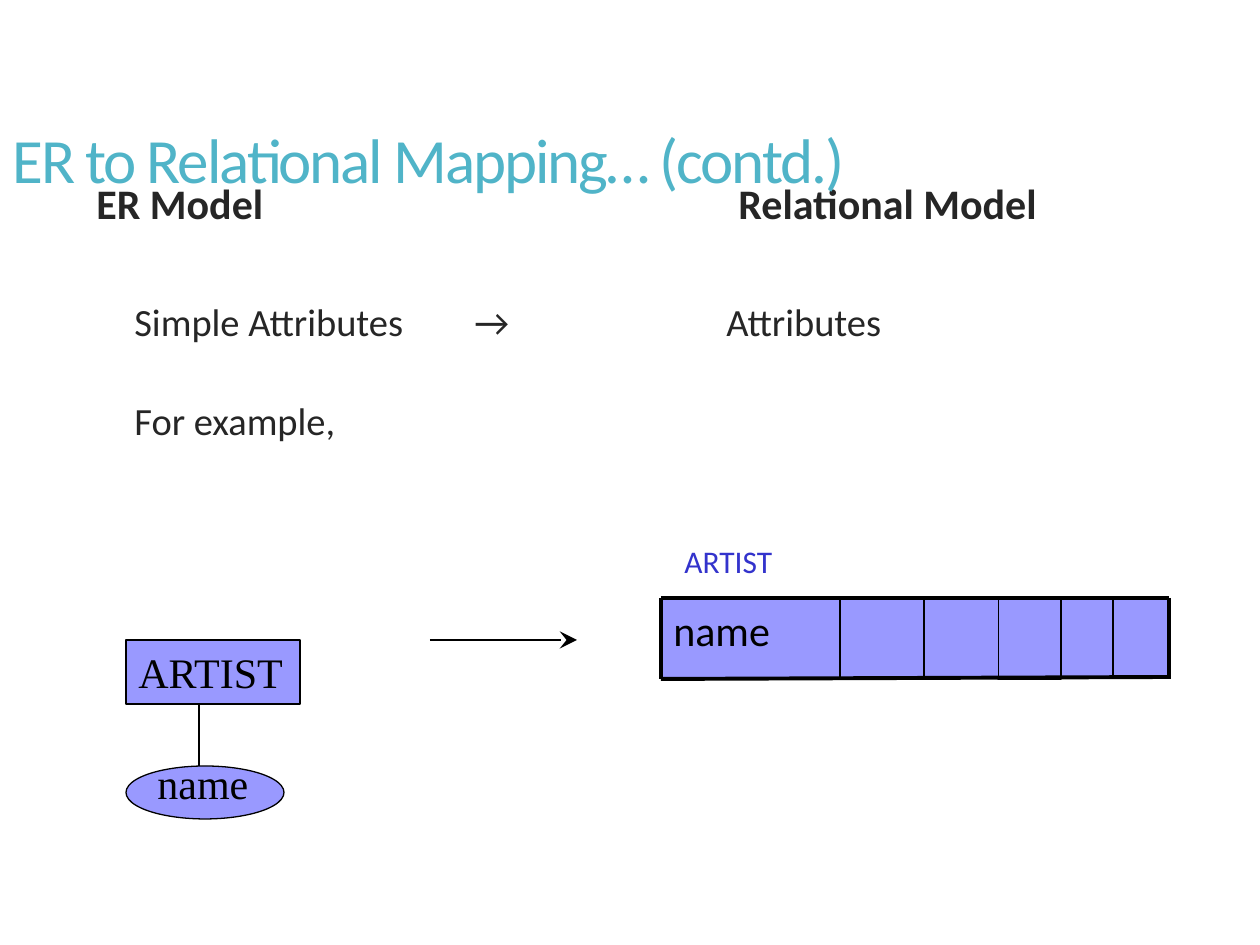
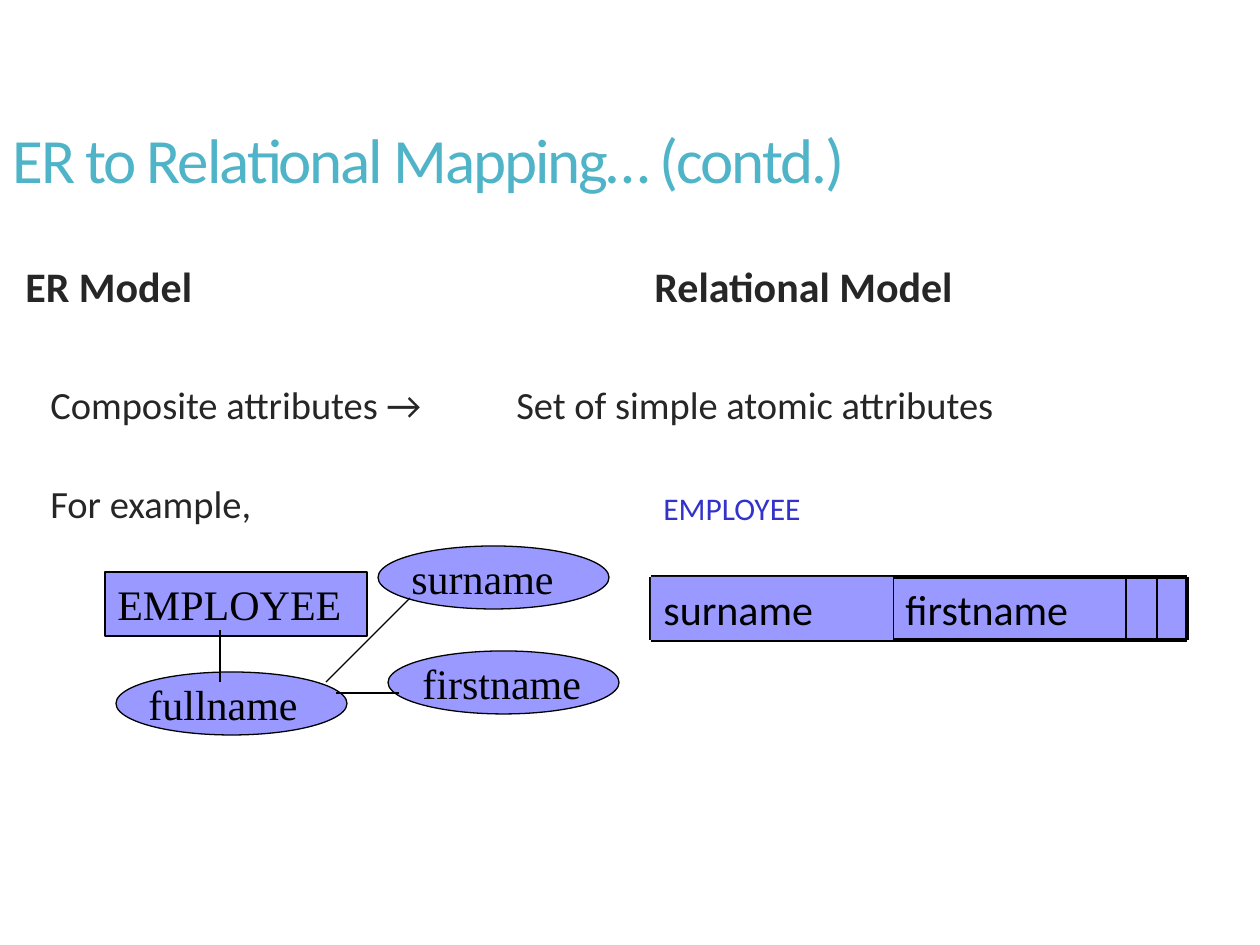
from itertools import pairwise

from lxml.etree import SubElement
from pptx import Presentation
from pptx.dml.color import RGBColor
from pptx.enum.shapes import MSO_CONNECTOR, MSO_SHAPE
from pptx.enum.text import MSO_ANCHOR, PP_ALIGN
from pptx.oxml.ns import qn
from pptx.util import Emu, Pt

PX_PER_INCH = 126
EMU_PER_INCH = 914400

BLACK = RGBColor(0x00, 0x00, 0x00)
WHITE = RGBColor(0xFF, 0xFF, 0xFF)
INK = RGBColor(0x26, 0x26, 0x26)
TITLE_TEAL = RGBColor(0x50, 0xB4, 0xC8)
LILAC = RGBColor(0x99, 0x99, 0xFF)
RELATION_BLUE = RGBColor(0x33, 0x33, 0xCC)
SANS, SERIF = "Calibri", "Times New Roman"
THIN, RULE, FRAME = 0.75, 1, 2.25

TITLE = "ER to Relational Mapping… (contd.)"
TITLE_BOX = (0, 84, 1134, 158)

# Body styles: size, bold, space before in points, tab pitch in px
HEADING = (24, True, 13, 642)
MAPPING = (22, False, 44, 126)
EXAMPLE = (22, False, 34, 126)

# Boxes are left, top, width, height; body rows are style, indent, text
SLIDES = [
    {
        "body_box": (84, 179, 1176, 714),
        "body": [
            (HEADING, 0, "ER Model\tRelational Model"),
            (MAPPING, 38, "Simple Attributes\t→\t\tAttributes"),
            (EXAMPLE, 38, "For example,"),
        ],
        "ellipses": [(126, 766, 158, 53)],
        "entity": ("ARTIST", (126, 640, 174, 64)),
        "attributes": [("name", (145, 751, 120, 63))],
        "links": [(199, 703, 199, 766)],
        "arrow": (430, 640, 577, 640),
        "relation": {
            "label": ("ARTIST", (672, 536, 139, 50)),
            "top": 598, "bottom": 679, "bottom_right": 677,
            "edges": [661, 840, 924, 998, 1061, 1113, 1169],
            "columns": ["name"],
            "outlined": 3,
            "first_cell_on_top": False,
        },
    },
    {
        "body_box": (0, 262, 1134, 582),
        "body": [
            (HEADING, 13, "ER Model\tRelational Model"),
            (MAPPING, 38, "Composite attributes →\tSet of simple atomic attributes"),
            (EXAMPLE, 38, "For example,"),
        ],
        "ellipses": [(116, 672, 231, 63), (388, 651, 231, 63), (378, 546, 231, 63)],
        "entity": ("EMPLOYEE", (105, 572, 262, 64)),
        "attributes": [
            ("fullname", (136, 672, 184, 63)),
            ("surname", (399, 546, 184, 63)),
            ("firstname", (410, 651, 194, 63)),
        ],
        "links": [(220, 630, 220, 682), (326, 682, 410, 598), (336, 693, 399, 693)],
        "arrow": None,
        "relation": {
            "label": ("EMPLOYEE", (651, 483, 200, 88)),
            "top": 577, "bottom": 640, "bottom_right": 640,
            "edges": [651, 893, 1126, 1157, 1187],
            "columns": ["surname", "firstname"],
            "outlined": None,
            "first_cell_on_top": True,
        },
    },
]


def px(length):
    return Emu(round(length * EMU_PER_INCH / PX_PER_INCH))


def write(paragraph, text, font_name, size, color, bold=False):
    paragraph.alignment = PP_ALIGN.LEFT
    run = paragraph.add_run()
    run.text = text
    font = run.font
    font.name, font.size, font.bold = font_name, Pt(size), bold
    font.color.rgb = color
    return run


def text_area(slide, box, wrap=True):
    frame = slide.shapes.add_textbox(*map(px, box)).text_frame
    frame.word_wrap = wrap
    return frame


def add_label(slide, text, box, font_name, size, color):
    frame = text_area(slide, box, wrap=False)
    write(frame.paragraphs[0], text, font_name, size, color)


def add_figure(slide, kind, box, outlined=True, text=None, font_name=SANS):
    figure = slide.shapes.add_shape(kind, *map(px, box))
    figure.shadow.inherit = False
    figure.fill.solid()
    figure.fill.fore_color.rgb = LILAC
    if outlined:
        figure.line.color.rgb = BLACK
        figure.line.width = Pt(THIN)
    else:
        figure.line.fill.background()
    if text:
        frame = figure.text_frame
        frame.word_wrap = False
        frame.vertical_anchor = MSO_ANCHOR.TOP
        write(frame.paragraphs[0], text, font_name, 24, BLACK)


def add_line(slide, ends, weight=THIN, arrow=False):
    line = slide.shapes.add_connector(MSO_CONNECTOR.STRAIGHT, *map(px, ends))
    line.line.color.rgb = BLACK
    line.line.width = Pt(weight)
    properties = line._element.spPr
    if arrow:
        SubElement(properties.find(qn("a:ln")), qn("a:tailEnd"),
                   type="stealth", w="lg", len="lg")
    SubElement(properties, qn("a:effectLst"))


def add_title(slide):
    frame = text_area(slide, TITLE_BOX)
    frame.vertical_anchor = MSO_ANCHOR.MIDDLE
    paragraph = frame.paragraphs[0]
    paragraph.line_spacing = 0.9
    run = write(paragraph, TITLE, SANS, 36, TITLE_TEAL)
    run.font._element.set("spc", "-120")


def add_body(slide, box, rows):
    frame = text_area(slide, box)
    for number, (style, indent, text) in enumerate(rows):
        size, bold, space_before, tab_pitch = style
        paragraph = frame.add_paragraph() if number else frame.paragraphs[0]
        paragraph.line_spacing = 0.85
        paragraph.space_before = Pt(space_before)
        properties = paragraph._p.get_or_add_pPr()
        properties.set("marL", "0")
        properties.set("indent", str(px(indent)))
        properties.set("defTabSz", str(px(tab_pitch)))
        write(paragraph, text, SANS, size, INK, bold)


def add_relation(slide, relation):
    """Draw the relation as a row of cells with ruled edges and a label above."""
    top, bottom, edges = relation["top"], relation["bottom"], relation["edges"]
    columns = relation["columns"]
    spans = list(pairwise(edges))

    def add_cell(index):
        left, right = spans[index]
        text = columns[index] if index < len(columns) else None
        add_figure(slide, MSO_SHAPE.RECTANGLE, (left, top, right - left, bottom - top),
                   index == relation["outlined"], text)

    on_top = relation["first_cell_on_top"]
    for index in reversed(range(1 if on_top else 0, len(spans))):
        add_cell(index)
    first, last = edges[0], edges[-1]
    add_line(slide, (first, top, last, top), FRAME)
    add_line(slide, (first, bottom, last, relation["bottom_right"]), FRAME)
    for index, edge in enumerate(edges):
        if index != relation["outlined"]:
            weight = FRAME if edge in (first, last) else RULE
            add_line(slide, (edge, top, edge, bottom), weight)
    add_label(slide, *relation["label"], SANS, 18, RELATION_BLUE)
    if on_top:
        add_cell(0)


def add_mapping_slide(deck, content):
    slide = deck.slides.add_slide(deck.slide_layouts[6])
    slide.background.fill.solid()
    slide.background.fill.fore_color.rgb = WHITE
    for box in content["ellipses"]:
        add_figure(slide, MSO_SHAPE.OVAL, box)
    add_body(slide, content["body_box"], content["body"])
    add_title(slide)
    entity, entity_box = content["entity"]
    add_figure(slide, MSO_SHAPE.RECTANGLE, entity_box, text=entity, font_name=SERIF)
    for attribute, box in content["attributes"]:
        add_label(slide, attribute, box, SERIF, 24, BLACK)
    for ends in content["links"]:
        add_line(slide, ends)
    if content["arrow"]:
        add_line(slide, content["arrow"], arrow=True)
    add_relation(slide, content["relation"])


def main():
    deck = Presentation()
    deck.slide_width, deck.slide_height = px(1260), px(945)
    for content in SLIDES:
        add_mapping_slide(deck, content)
    deck.save("out.pptx")


if __name__ == "__main__":
    main()
